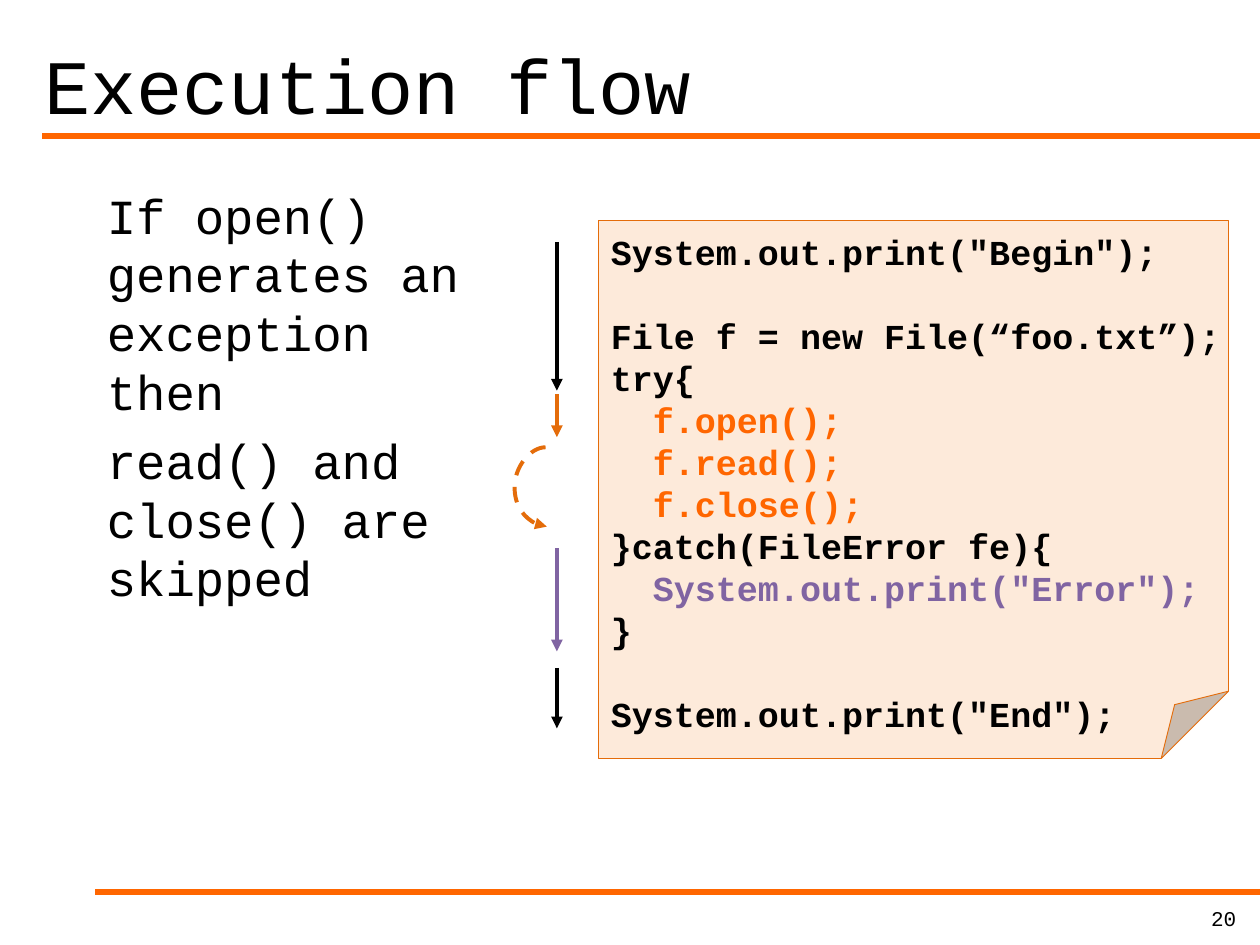
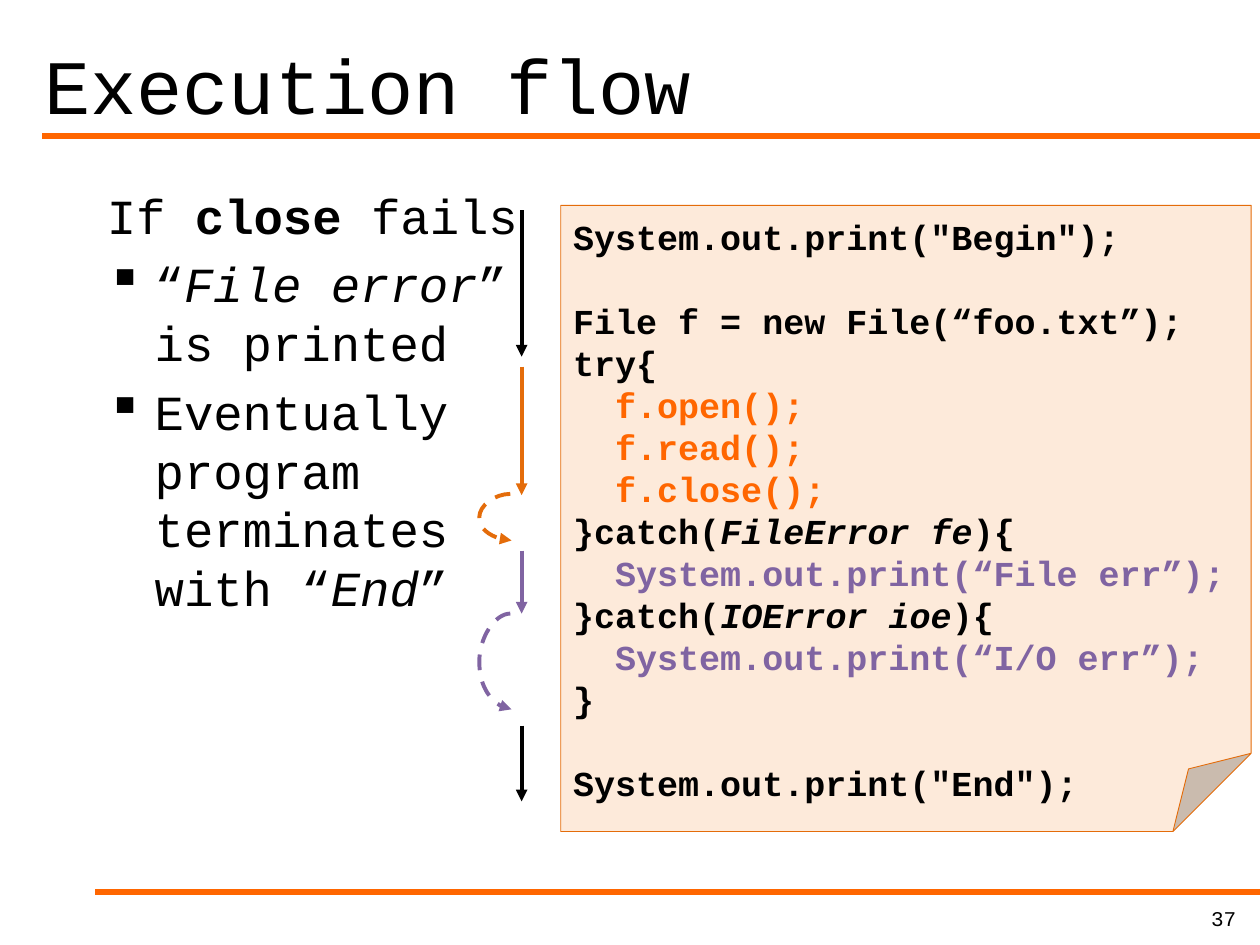
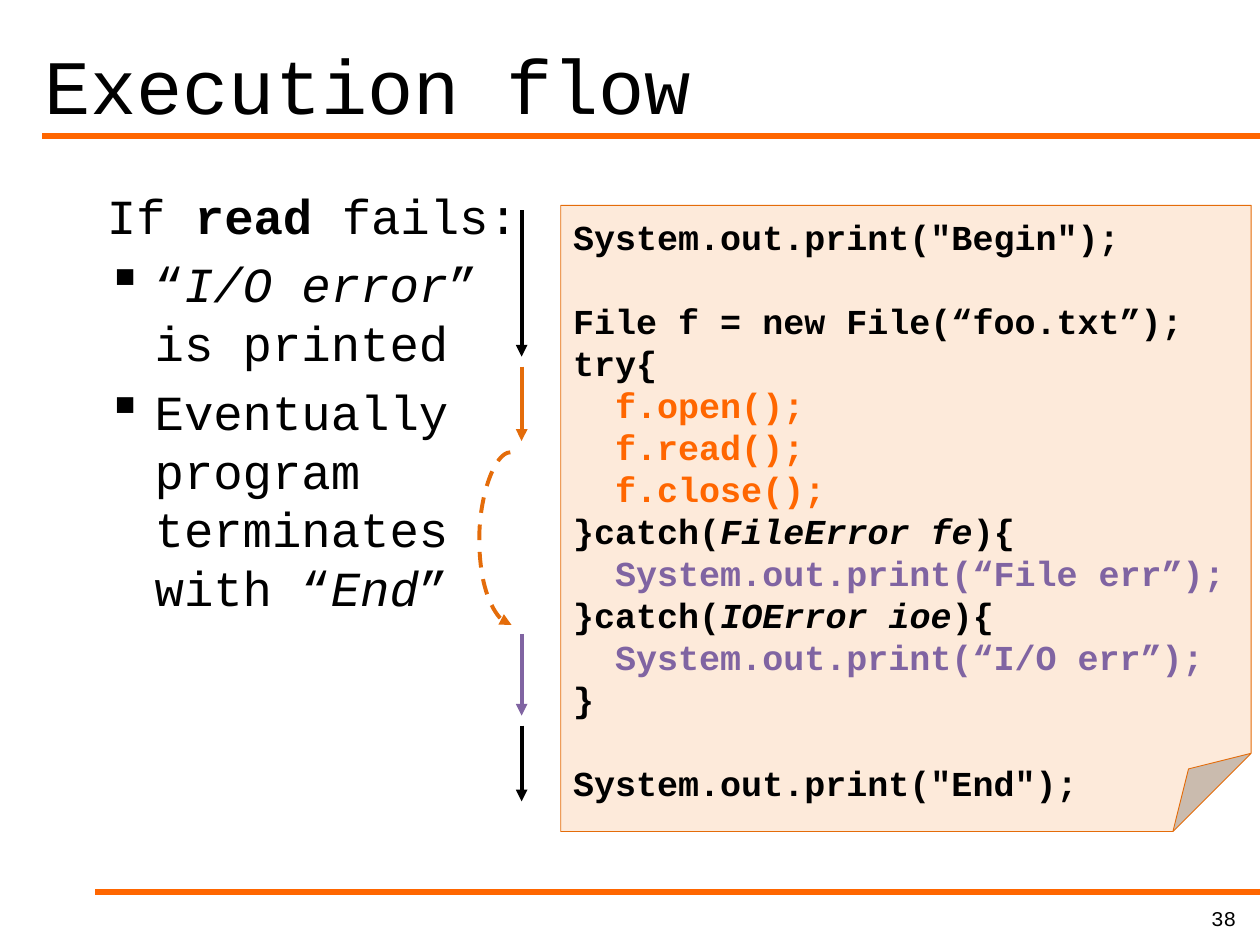
"""Build three slides that trace the execution flow of exception handling."""
from lxml import etree
from pptx import Presentation
from pptx.dml.color import RGBColor
from pptx.enum import dml, shapes, text
from pptx.oxml import ns
from pptx.util import Inches, Pt

ORANGE = RGBColor(0xFF, 0x66, 0x00)
DARK_ORANGE = RGBColor(0xE4, 0x6C, 0x0A)
PURPLE = RGBColor(0x80, 0x64, 0xA2)
PEACH = RGBColor(0xFD, 0xEA, 0xDA)
BLACK = RGBColor(0, 0, 0)
FONT = "Courier New"
CODE_LINE = Pt(24)
BEND_WIDTH = 0.01
BEND_DEPTH = 0.25

OPENING = ['System.out.print("Begin");', "", "File f = new File(“foo.txt”);", "try{"]
TRY_BODY = ["  f.open();", "  f.read();", "  f.close();"]
CLOSING = ["}", "", 'System.out.print("End");']


def add_run(paragraph, content, size, color=BLACK, bold=False, italic=False):
    """Add one formatted run to a paragraph."""
    run = paragraph.add_run()
    run.text = content
    font = run.font
    font.name, font.size, font.bold, font.italic = FONT, Pt(size), bold, italic
    font.color.rgb = color


def next_paragraph(frame, index):
    """Return the first paragraph of a frame, or a new one."""
    return frame.add_paragraph() if index else frame.paragraphs[0]


def set_guide(shape, name, ratio):
    """Set one adjustment of a preset geometry."""
    geometry = shape._element.spPr.find(ns.qn("a:prstGeom"))
    guides = geometry.find(ns.qn("a:avLst"))
    if guides is None:
        guides = etree.SubElement(geometry, ns.qn("a:avLst"))
    etree.SubElement(guides, ns.qn("a:gd"), name=name, fmla=f"val {round(ratio * 100000)}")


def add_line(slide, start, end, color, width, kind=shapes.MSO_CONNECTOR.STRAIGHT):
    """Draw a connector without shadow between two points."""
    points = [Inches(value) for value in (*start, *end)]
    line = slide.shapes.add_connector(kind, *points)
    line.line.color.rgb = color
    line.line.width = Pt(width)
    etree.SubElement(line._element.spPr, ns.qn("a:effectLst"))
    return line


def add_arrowhead(line):
    """Put a triangle at the end of a connector."""
    outline = line.line._get_or_add_ln()
    etree.SubElement(outline, ns.qn("a:tailEnd"), type="triangle")


def add_step(slide, x, top, bottom, color):
    """Draw a straight arrow beside the lines that run."""
    add_arrowhead(add_line(slide, (x, top), (x, bottom), color, 2.25))


def add_jump(slide, x, top, bottom, color):
    """Draw a dashed arc that bends left past the skipped lines."""
    line = add_line(slide, (x, top), (x + BEND_WIDTH, bottom), color, 2.25,
                    shapes.MSO_CONNECTOR.CURVE)
    line.line.dash_style = dml.MSO_LINE.DASH
    add_arrowhead(line)
    set_guide(line, "adj1", -BEND_DEPTH / BEND_WIDTH)


def add_flow(slide, x, steps, jumps):
    """Draw all steps and jumps along one vertical axis."""
    for step in steps:
        add_step(slide, x, *step)
    for jump in jumps:
        add_jump(slide, x - 0.09, *jump)


def add_bullet(paragraph):
    """Give a paragraph a square bullet with a hanging indent."""
    properties = paragraph._p.get_or_add_pPr()
    properties.set("marL", str(Inches(0.38)))
    properties.set("indent", str(-Inches(0.38)))
    etree.SubElement(properties, ns.qn("a:buChar"), char="▪")


def add_explanation(slide, width, paragraphs, bulleted_from):
    """Write the explanation on the left, bulleted from a given paragraph on."""
    box = slide.shapes.add_textbox(Inches(0.75), Inches(1.42), Inches(width), Inches(5.17))
    frame = box.text_frame
    frame.word_wrap = True
    for index, runs in enumerate(paragraphs):
        paragraph = next_paragraph(frame, index)
        if index >= bulleted_from:
            add_bullet(paragraph)
        if index:
            paragraph.space_before = Pt(5.6)
        for part, style in runs:
            for number, piece in enumerate(part.split("\n")):
                if number:
                    paragraph.add_line_break()
                add_run(paragraph, piece, 28, **style)


def add_code_note(slide, left, top, width, height, handlers):
    """Show the program on a sheet with a folded corner."""
    note = slide.shapes.add_shape(shapes.MSO_SHAPE.FOLDED_CORNER, Inches(left), Inches(top),
                                  Inches(width), Inches(height))
    note.shadow.inherit = False
    set_guide(note, "adj", 0.125)
    note.fill.solid()
    note.fill.fore_color.rgb = PEACH
    note.line.color.rgb = DARK_ORANGE
    note.line.width = Pt(0.5)
    frame = note.text_frame
    frame.word_wrap = False
    frame.vertical_anchor = text.MSO_ANCHOR.TOP
    frame.margin_left = frame.margin_right = Inches(0.1)
    frame.margin_top = frame.margin_bottom = Inches(0.08)
    lines = [[(line, {})] if line else [] for line in OPENING]
    lines += [[(line, {"color": ORANGE})] for line in TRY_BODY]
    for error, message, italic in handlers:
        lines.append([("}catch(", {}), (error, {"italic": italic}), ("){", {})])
        lines.append([(f"  System.out.print({message});", {"color": PURPLE})])
    lines += [[(line, {})] if line else [] for line in CLOSING]
    after_gap = False
    for index, runs in enumerate(lines):
        if not runs:
            after_gap = True
            continue
        paragraph = next_paragraph(frame, index)
        paragraph.alignment = text.PP_ALIGN.LEFT
        if after_gap:
            paragraph.space_before = CODE_LINE
        after_gap = False
        for content, style in runs:
            add_run(paragraph, content, 20, bold=True, **style)


def add_base_slide(presentation, number):
    """Add a slide with its title, two rules and page number."""
    slide = presentation.slides.add_slide(presentation.slide_layouts[5])
    for left, y in ((0.33, 1.08), (0.75, 7.08)):
        add_line(slide, (10, y), (left, y), ORANGE, 3)
    title = slide.shapes.title
    title.left, title.top = Inches(0.25), Inches(0)
    title.width, title.height = Inches(9.42), Inches(1.08)
    title.text_frame.vertical_anchor = text.MSO_ANCHOR.BOTTOM
    heading = title.text_frame.paragraphs[0]
    heading.alignment = text.PP_ALIGN.LEFT
    add_run(heading, "Execution flow", 44)
    page = slide.shapes.add_textbox(Inches(7.83), Inches(7.14), Inches(2.08), Inches(0.25))
    page.text_frame.word_wrap = True
    paragraph = page.text_frame.paragraphs[0]
    paragraph.alignment = text.PP_ALIGN.RIGHT
    add_run(paragraph, str(number), 12)
    return slide


def add_open_slide(presentation):
    """Add the slide on a failing open() with a single handler."""
    slide = add_base_slide(presentation, 20)
    add_explanation(slide, 3.14, [
        [("If open() generates an exception then", {})],
        [("read() and close() are skipped", {})],
    ], bulleted_from=2)
    add_code_note(slide, 4.75, 1.75, 5, 4.27, [("FileError fe", '"Error"', False)])
    add_flow(slide, 4.42,
             [(1.92, 3.1, BLACK), (3.13, 3.47, DARK_ORANGE),
              (4.35, 5.17, PURPLE), (5.3, 5.78, BLACK)],
             [(3.55, 4.18, DARK_ORANGE)])


def add_failure_slide(presentation, number, method, ending, message, steps, jumps):
    """Add a slide on one failing call with two handlers."""
    slide = add_base_slide(presentation, number)
    add_explanation(slide, 3.63, [
        [("If ", {}), (f"{method} ", {"bold": True}), (ending, {})],
        [("“", {}), (message, {"italic": True}), ("” is printed", {})],
        [("Eventually program terminates\nwith “", {}), ("End", {"italic": True}), ("”", {})],
    ], bulleted_from=1)
    add_code_note(slide, 4.45, 1.63, 5.48, 4.97, [
        ("FileError fe", "“File err”", True),
        ("IOError ioe", "“I/O err”", True),
    ])
    add_flow(slide, 4.14, [(1.67, 2.83, BLACK), *steps, (5.76, 6.36, BLACK)], jumps)


def main():
    """Build and save the presentation."""
    presentation = Presentation()
    presentation.slide_width, presentation.slide_height = Inches(10), Inches(7.5)
    add_open_slide(presentation)
    add_failure_slide(presentation, 37, "close", "fails", "File error",
                      [(2.91, 3.93, DARK_ORANGE), (4.37, 4.87, PURPLE)],
                      [(3.92, 4.29, DARK_ORANGE), (4.87, 5.63, PURPLE)])
    add_failure_slide(presentation, 38, "read", "fails:", "I/O error",
                      [(2.91, 3.5, DARK_ORANGE), (5.03, 5.68, PURPLE)],
                      [(3.59, 4.96, DARK_ORANGE)])
    presentation.save("out.pptx")


if __name__ == "__main__":
    main()
